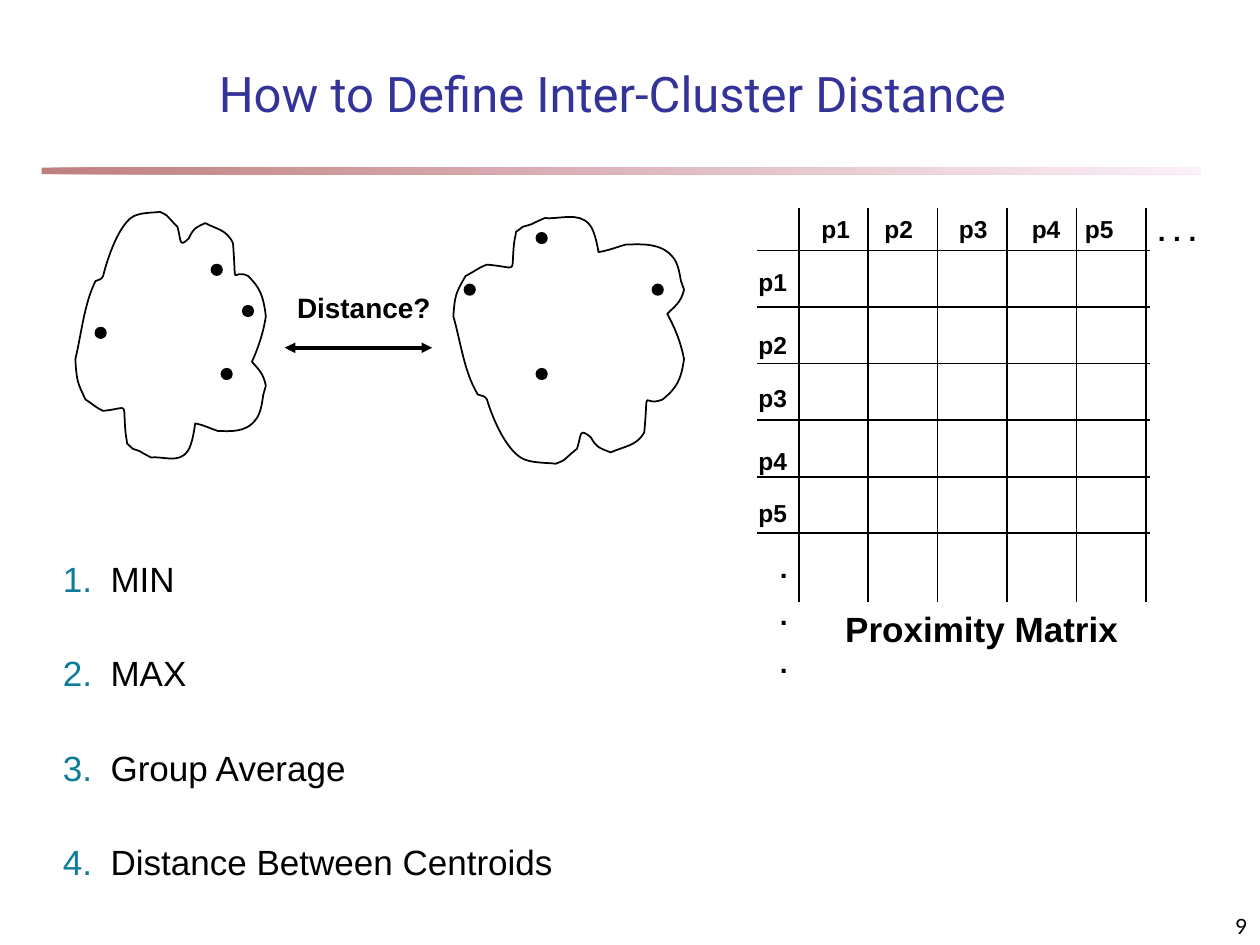
from dataclasses import dataclass

import pptx
import pptx.dml.color
import pptx.enum.shapes
import pptx.enum.text
import pptx.oxml.ns
import pptx.util
from lxml import etree

Cm = pptx.util.Cm
Pt = pptx.util.Pt
RGBColor = pptx.dml.color.RGBColor
qn = pptx.oxml.ns.qn
Shape = pptx.enum.shapes.MSO_SHAPE
Align = pptx.enum.text.PP_ALIGN
Anchor = pptx.enum.text.MSO_ANCHOR

BLACK = RGBColor(0x00, 0x00, 0x00)
INDIGO = RGBColor(0x33, 0x33, 0x99)
TEAL = RGBColor(0x0C, 0x7B, 0x9C)
MAROON = RGBColor(0x80, 0x00, 0x00)
PINK = RGBColor(0xFA, 0xE2, 0xF6)

OUTLINE_WIDTH, OUTLINE_HEIGHT = 151, 200
OUTLINE_START = (16, 55)
OUTLINE_CURVES = [
    (7, 73), (5, 96), (0, 117), (1, 135), (2, 136), (8, 149),
    (13, 152), (17, 156), (22, 158), (44, 156), (37, 149), (40, 177),
    (40, 179), (41, 181), (41, 184), (48, 190), (43, 187), (51, 190),
    (54, 192), (60, 195), (60, 195), (70, 194), (82, 200), (89, 190),
    (93, 185), (95, 168), (95, 168), (101, 169), (107, 172), (113, 174),
    (121, 174), (135, 176), (143, 165), (147, 160), (148, 152), (149, 145),
    (150, 142), (151, 138), (151, 138), (149, 128), (145, 125), (140, 119),
    (145, 108), (149, 96), (151, 83), (149, 66), (146, 60), (137, 51),
    (123, 44), (128, 65), (125, 25), (120, 14), (112, 14), (103, 9),
    (97, 12), (94, 12), (90, 21), (82, 29), (84, 23), (81, 12),
    (70, 1), (75, 4), (67, 0), (63, 1), (50, 0), (44, 5),
    (34, 13), (26, 35), (22, 51), (21, 54), (18, 54), (16, 55),
]


@dataclass(frozen=True)
class Cluster:
    left: float
    top: float
    width: float
    height: float
    upside_down: bool
    points: tuple[tuple[float, float], ...]


@dataclass(frozen=True)
class MatrixLabel:
    name: str
    column_left: float
    row_top: float


CLUSTERS = [
    Cluster(1.52, 4.27, 3.84, 5.08, False,
            ((4.57, 7.54), (4.37, 5.44), (2.03, 6.71), (5.0, 6.27))),
    Cluster(9.14, 4.27, 4.65, 5.08, True,
            ((13.26, 5.84), (9.47, 5.84), (10.92, 7.54), (10.92, 4.8))),
]
MATRIX_LABELS = [
    MatrixLabel("p1", 16.31, 5.26),
    MatrixLabel("p2", 17.58, 6.53),
    MatrixLabel("p3", 19.08, 7.59),
    MatrixLabel("p4", 20.55, 8.86),
    MatrixLabel("p5", 21.62, 9.91),
]
MATRIX_LEFT, MATRIX_RIGHT = 15.27, 23.19
MATRIX_TOP, MATRIX_BOTTOM = 4.19, 12.14
FIRST_COLUMN, COLUMN_STEP = 16.1, 1.4
FIRST_ROW, ROW_STEP = 5.05, 1.14
MATRIX_LINES = 6
LABEL_SIZE = 1.32
POINT_SIZE = 0.21


def write(slide, content: str, left: float, top: float, width: float, height: float, *,
          size: float, font: str = "Arial", color: RGBColor = BLACK, bold: bool = False,
          align=Align.LEFT, anchor=Anchor.TOP, wrap: bool = True, line_spacing: float = 1.0,
          space_before: float = 0, number_color: RGBColor | None = None) -> None:
    frame = slide.shapes.add_textbox(Cm(left), Cm(top), Cm(width), Cm(height)).text_frame
    frame.word_wrap = wrap
    frame.vertical_anchor = anchor
    frame.text = content
    for index, paragraph in enumerate(frame.paragraphs):
        paragraph.alignment = align
        paragraph.line_spacing = line_spacing
        paragraph.space_before = Pt(space_before if index else 0)
        for run in paragraph.runs:
            run.font.name = font
            run.font.size = Pt(size)
            run.font.bold = bold
            run.font.color.rgb = color
        if number_color is not None:
            properties = paragraph._p.get_or_add_pPr()
            properties.set("marL", str(Cm(0.96)))
            properties.set("indent", str(-Cm(0.96)))
            tint = etree.SubElement(properties, qn("a:buClr"))
            etree.SubElement(tint, qn("a:srgbClr"), val=str(number_color))
            etree.SubElement(properties, qn("a:buAutoNum"), type="arabicPeriod")


def draw_line(slide, x1: float, y1: float, x2: float, y2: float, *,
              weight: float = 1, arrows: bool = False) -> None:
    line = slide.shapes.add_connector(
        pptx.enum.shapes.MSO_CONNECTOR.STRAIGHT, Cm(x1), Cm(y1), Cm(x2), Cm(y2))
    line.line.color.rgb = BLACK
    line.line.width = Pt(weight)
    if arrows:
        for end in ("a:headEnd", "a:tailEnd"):
            etree.SubElement(line.line._get_or_add_ln(), qn(end), type="triangle")
    etree.SubElement(line._element.spPr, qn("a:effectLst"))


def draw_cluster(slide, cluster: Cluster) -> None:
    def place(x: int, y: int) -> tuple[int, int]:
        depth = OUTLINE_HEIGHT - y if cluster.upside_down else y
        return (Cm(cluster.left + x * cluster.width / OUTLINE_WIDTH),
                Cm(cluster.top + depth * cluster.height / OUTLINE_HEIGHT))

    builder = slide.shapes.build_freeform(*place(*OUTLINE_START))
    builder.add_line_segments([place(*point) for point in OUTLINE_CURVES], close=True)
    outline = builder.convert_to_shape()
    outline.shadow.inherit = False
    outline.fill.background()
    outline.line.color.rgb = BLACK
    outline.line.width = Pt(1)

    segments = list(outline._element.iter(qn("a:lnTo")))
    for first, second, last in zip(segments[::3], segments[1::3], segments[2::3]):
        first.tag = qn("a:cubicBezTo")
        for segment in (second, last):
            first.append(segment[0])
            segment.getparent().remove(segment)

    for x, y in cluster.points:
        dot = slide.shapes.add_shape(
            Shape.OVAL, Cm(x - POINT_SIZE / 2), Cm(y - POINT_SIZE / 2),
            Cm(POINT_SIZE), Cm(POINT_SIZE))
        dot.shadow.inherit = False
        dot.fill.solid()
        dot.fill.fore_color.rgb = BLACK
        dot.line.color.rgb = BLACK
        dot.line.width = Pt(1)


def draw_title_rule(slide) -> None:
    rule = slide.shapes.add_shape(Shape.RECTANGLE, Cm(0.84), Cm(3.38), Cm(23.37), Cm(0.13))
    rule.shadow.inherit = False
    rule.line.fill.background()
    rule.fill.gradient()
    rule.fill.gradient_angle = 0
    for stop, color in zip(rule.fill.gradient_stops, (MAROON, PINK)):
        stop.color.rgb = color
    for color in rule._element.spPr.iter(qn("a:srgbClr")):
        etree.SubElement(color, qn("a:alpha"), val="49000")


def draw_matrix(slide) -> None:
    for index in range(MATRIX_LINES):
        x = FIRST_COLUMN + index * COLUMN_STEP
        y = FIRST_ROW + index * ROW_STEP
        draw_line(slide, x, MATRIX_TOP, x, MATRIX_BOTTOM)
        draw_line(slide, MATRIX_LEFT, y, MATRIX_RIGHT, y)
    for label in MATRIX_LABELS:
        for left, top in ((label.column_left, MATRIX_TOP), (15.04, label.row_top)):
            write(slide, label.name, left, top, LABEL_SIZE, LABEL_SIZE, size=14, bold=True)
    write(slide, ". . .", 23.09, MATRIX_TOP, LABEL_SIZE, LABEL_SIZE,
          size=16, bold=True, wrap=False)
    write(slide, ".\n.\n.", 15.47, 10.97, LABEL_SIZE, 2.64, size=16, bold=True, space_before=8)
    write(slide, "Proximity Matrix", 16.79, 12.12, 6.99, 1.12, size=20, bold=True)


def main() -> None:
    deck = pptx.Presentation()
    deck.slide_width, deck.slide_height = Cm(25.4), Cm(19.05)
    slide = deck.slides.add_slide(deck.slide_layouts[6])

    draw_title_rule(slide)
    write(slide, "How to Define Inter-Cluster Distance", 0.84, 1.07, 23.01, 1.52, size=28,
          font="Roboto", color=INDIGO, align=Align.CENTER, anchor=Anchor.BOTTOM)
    draw_line(slide, 5.74, 7.01, 8.71, 7.01, weight=2, arrows=True)
    write(slide, "Distance?", 5.74, 5.74, 3.38, 0.94, size=16, bold=True)
    write(slide, "MIN\nMAX\nGroup Average\nDistance Between Centroids",
          1.02, 10.26, 20.29, 8.69, size=20, line_spacing=2.0, space_before=6,
          number_color=TEAL)
    for cluster in CLUSTERS:
        draw_cluster(slide, cluster)
    draw_matrix(slide)
    write(slide, "9", 20.12, 17.98, 5.28, 1.07, size=12, font="Lato",
          align=Align.RIGHT, anchor=Anchor.BOTTOM)
    deck.save("out.pptx")


if __name__ == "__main__":
    main()
